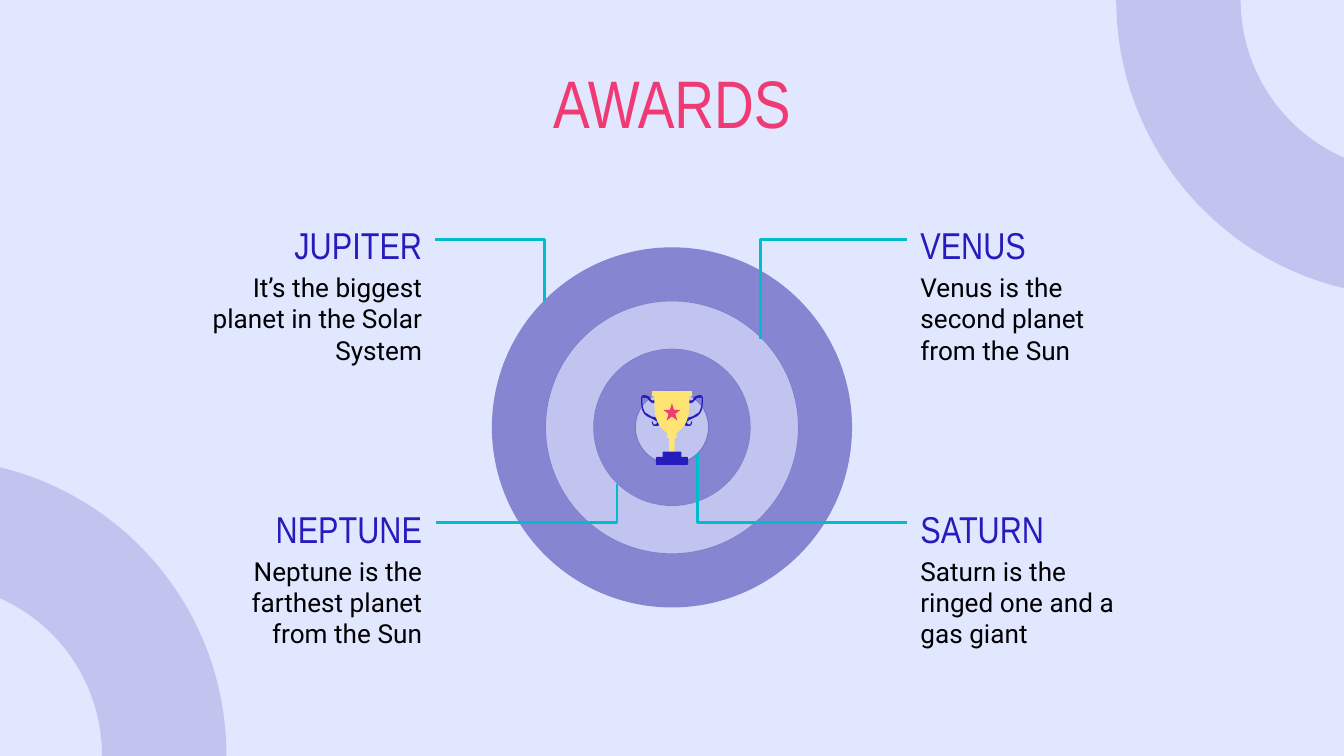
from dataclasses import dataclass
from typing import Any

from lxml import etree
from pptx import Presentation
from pptx import util as u
from pptx.dml.color import RGBColor
from pptx.enum import shapes as sh, text as tx
from pptx.oxml.ns import qn

PALE = RGBColor(0xE0, 0xE7, 0xFF)
NAVY = RGBColor(0x1B, 0x12, 0x9C)
BLUE = RGBColor(0x26, 0x1B, 0xBD)
PINK = RGBColor(0xF0, 0x3A, 0x73)
TEAL = RGBColor(0x00, 0xBC, 0xCC)
GOLD = RGBColor(0xFF, 0xE4, 0x74)
BLACK = RGBColor(0x00, 0x00, 0x00)
KIND = sh.MSO_SHAPE
ALIGN = tx.PP_ALIGN
MID = 5.0


@dataclass(frozen=True)
class Label:
    name: str
    note: str
    left: bool
    top: float
    tip: tuple[float, float]


@dataclass(frozen=True)
class Ring:
    x: float
    y: float
    size: float
    band: float
    alpha: int


@dataclass(frozen=True)
class Block:
    kind: Any
    y: float
    width: float
    height: float
    fill: RGBColor


LABELS = [
    Label("JUPITER", "It’s the biggest planet in the Solar System", True, 1.46, (4.05, 2.24)),
    Label("VENUS", "Venus is the second planet from the Sun", False, 1.46, (5.66, 2.52)),
    Label("NEPTUNE", "Neptune is the farthest planet from the Sun", True, 3.57, (4.59, 3.6)),
    Label("SATURN", "Saturn is the ringed one and a gas giant", False, 3.57, (5.19, 3.38)),
]
CORNERS = [Ring(10.51, 0, 4.41, 0.21, 16), Ring(-0.52, 5.62, 4.41, 0.21, 16)]
TARGET = [
    Ring(MID, 3.18, 2.68, 0.15, 46),
    Ring(MID, 3.18, 1.88, 0.19, 16),
    Ring(MID, 3.18, 1.17, 0.27, 46),
    Ring(MID, 3.18, 0.55, 0, 16),
]
BLOCKS = [
    Block(KIND.RECTANGLE, 3.22, 0.04, 0.16, GOLD),
    Block(KIND.ROUNDED_RECTANGLE, 2.91, 0.3, 0.04, GOLD),
    Block(KIND.STAR_5_POINT, 3.0, 0.13, 0.13, PINK),
    Block(KIND.ROUNDED_RECTANGLE, 3.23, 0.07, 0.03, GOLD),
    Block(KIND.ROUND_2_SAME_RECTANGLE, 3.36, 0.14, 0.05, BLUE),
    Block(KIND.ROUNDED_RECTANGLE, 3.4, 0.24, 0.06, BLUE),
]
HANDLE = [
    (4.79, 2.94), (4.78, 2.94, 4.77, 2.95, 4.77, 2.96), (4.77, 3),
    (4.77, 3.08, 4.81, 3.1, 4.84, 3.11), (4.86, 3.12, 4.88, 3.13, 4.89, 3.14),
    (4.89, 3.15, 4.88, 3.16, 4.87, 3.16), (4.86, 3.16, 4.86, 3.14, 4.85, 3.13),
    (4.85, 3.14, 4.85, 3.17, 4.87, 3.17), (4.88, 3.17, 4.89, 3.17, 4.9, 3.17),
    (4.9, 3.16, 4.91, 3.14, 4.9, 3.13), (4.89, 3.11, 4.87, 3.1, 4.85, 3.1),
    (4.83, 3.09, 4.82, 3.08, 4.8, 3.07), (4.79, 3.05, 4.78, 3.03, 4.78, 3),
    (4.78, 2.96), (4.79, 2.96), (4.81, 2.96, 4.82, 2.96, 4.82, 2.97), (4.83, 2.98),
    (4.84, 2.99, 4.85, 3, 4.86, 3), (4.9, 3), (4.91, 3, 4.91, 2.98, 4.9, 2.98),
    (4.86, 2.98), (4.85, 2.98, 4.85, 2.98, 4.84, 2.97), (4.84, 2.96),
    (4.83, 2.95, 4.81, 2.94, 4.79, 2.94),
]
CUP = [
    (4.87, 2.92), (4.87, 3.03), (4.87, 3.11, 4.9, 3.18, 4.96, 3.22), (5, 3.25),
    (5.04, 3.22), (5.1, 3.18, 5.13, 3.11, 5.13, 3.03), (5.13, 2.92),
]


def paint(shape: Any, fill: RGBColor, alpha: int = 100) -> None:
    shape.shadow.inherit = False
    shape.line.fill.background()
    shape.fill.solid()
    shape.fill.fore_color.rgb = fill
    if alpha < 100:
        tint = shape._element.spPr.find(".//" + qn("a:srgbClr"))
        etree.SubElement(tint, qn("a:alpha")).set("val", str(alpha * 1000))


def draw_ring(tree: Any, ring: Ring) -> None:
    kind = KIND.DONUT if ring.band else KIND.OVAL
    half = ring.size / 2
    shape = tree.add_shape(kind, u.Inches(ring.x - half), u.Inches(ring.y - half),
                           u.Inches(ring.size), u.Inches(ring.size))
    if ring.band:
        shape.adjustments[0] = ring.band
    paint(shape, NAVY, ring.alpha)


def write(tree: Any, words: str, box: tuple[float, float, float, float], font: str,
          size: int, ink: RGBColor, align: Any, low: bool = False) -> None:
    frame = tree.add_textbox(*map(u.Inches, box)).text_frame
    frame.word_wrap = True
    frame.margin_left = frame.margin_right = u.Inches(0.1)
    frame.margin_top = frame.margin_bottom = u.Inches(0.1)
    frame.vertical_anchor = tx.MSO_ANCHOR.BOTTOM if low else tx.MSO_ANCHOR.TOP
    para = frame.paragraphs[0]
    para.alignment = align
    run = para.add_run()
    run.text = words
    run.font.name = font
    run.font.size = u.Pt(size)
    run.font.color.rgb = ink


def draw_label(tree: Any, label: Label) -> None:
    align = ALIGN.RIGHT if label.left else ALIGN.LEFT
    head, body = 1.53, 1.83
    x = 3.24 if label.left else 6.75
    write(tree, label.name, (x - head * label.left, label.top, head, 0.63),
          "Arial Narrow", 20, BLUE, align, True)
    write(tree, label.note, (x - body * label.left, label.top + 0.46, body, 0.63),
          "Roboto", 14, BLACK, align)


def draw_link(tree: Any, label: Label) -> None:
    start = (3.24 if label.left else 6.75, label.top + 0.32)
    link = tree.add_connector(sh.MSO_CONNECTOR.ELBOW, *map(u.Inches, start + label.tip))
    link.line.color.rgb = TEAL
    link.line.width = u.Pt(1.5)
    props = link._element.spPr
    props.find(qn("a:prstGeom")).set("prst", "bentConnector2")
    etree.SubElement(props, qn("a:effectLst"))
    if label.tip[1] < start[1]:
        frame = props.find(qn("a:xfrm"))
        frame.attrib.pop("flipV", None)
        frame.set("rot", "10800000")
        frame.set("flipH", "1" if label.left else "0")


def trace(steps: list[tuple[float, ...]], flip: bool = False) -> list[tuple[int, int]]:
    spots = [steps[0]]
    for step in steps[1:]:
        if len(step) == 2:
            spots.append(step)
            continue
        a, b, c, d = spots[-1], step[:2], step[2:4], step[4:]
        for t in (0.25, 0.5, 0.75, 1):
            s = 1 - t
            spots.append(tuple(s**3 * a[i] + 3 * s * s * t * b[i] + 3 * s * t * t * c[i]
                               + t**3 * d[i] for i in (0, 1)))
    return [(u.Inches(2 * MID - x if flip else x), u.Inches(y)) for x, y in spots]


def draw_path(tree: Any, spots: list[tuple[int, int]], fill: RGBColor) -> None:
    path = tree.build_freeform(*spots[0])
    path.add_line_segments(spots[1:], close=True)
    paint(path.convert_to_shape(), fill)


def draw_prize(tree: Any) -> None:
    group = tree.add_group_shape().shapes
    for flip in (False, True):
        draw_path(group, trace(HANDLE, flip), BLUE)
    draw_path(group, trace(CUP), GOLD)
    for block in BLOCKS:
        shape = group.add_shape(block.kind, u.Inches(MID - block.width / 2), u.Inches(block.y),
                                u.Inches(block.width), u.Inches(block.height))
        paint(shape, block.fill)


def main() -> None:
    deck = Presentation()
    deck.slide_width = u.Inches(10)
    deck.slide_height = u.Inches(10 * 9 / 16)
    slide = deck.slides.add_slide(deck.slide_layouts[6])
    slide.background.fill.solid()
    slide.background.fill.fore_color.rgb = PALE
    tree = slide.shapes
    for ring in CORNERS:
        draw_ring(tree, ring)
    write(tree, "AWARDS", (2.02, 0.36, 5.96, 0.86), "Arial Narrow", 36, PINK, ALIGN.CENTER)
    for label in LABELS:
        draw_label(tree, label)
    for ring in TARGET:
        draw_ring(tree, ring)
    for label in LABELS:
        draw_link(tree, label)
    draw_prize(tree)
    deck.save("out.pptx")


if __name__ == "__main__":
    main()
